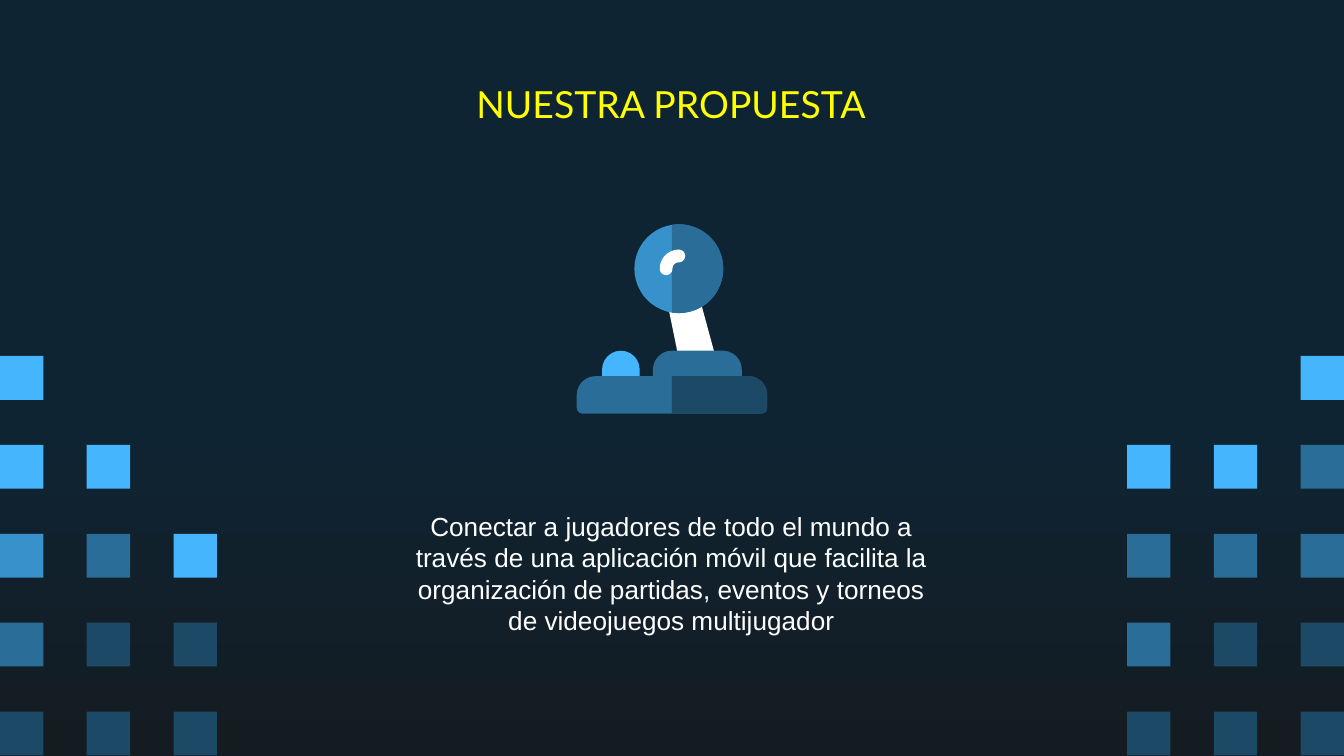
import math
from typing import NamedTuple

import pptx
import pptx.dml.color
import pptx.enum.shapes
import pptx.enum.text
import pptx.shapes.autoshape
import pptx.shapes.shapetree
import pptx.slide
import pptx.util

Cm = pptx.util.Cm
RGBColor = pptx.dml.color.RGBColor
Preset = pptx.enum.shapes.MSO_SHAPE
Anchor = pptx.enum.text.MSO_ANCHOR
Tree = pptx.shapes.shapetree.GroupShapes
Points = list[tuple[float, float]]

NIGHT = RGBColor(0x0E, 0x24, 0x33)
COAL = RGBColor(0x14, 0x1C, 0x21)
SKY = RGBColor(0x45, 0xB6, 0xFE)
AZURE = RGBColor(0x37, 0x92, 0xCB)
STEEL = RGBColor(0x29, 0x6D, 0x98)
NAVY = RGBColor(0x1C, 0x49, 0x66)
WHITE = RGBColor(0xFF, 0xFF, 0xFF)
YELLOW = RGBColor(0xFF, 0xFF, 0x00)

TILE_COLORS = {"s": SKY, "a": AZURE, "t": STEEL, "n": NAVY}
TILE_WIDTH, TILE_HEIGHT = 0.82, 0.83
COLUMN_STEP, ROW_STEP = 1.64, 1.68
TILES_TOP = 6.73
MIDDLE = 12.7


class TileBlock(NamedTuple):
    left: float
    rows: tuple[str, ...]


class Part(NamedTuple):
    preset: Preset
    left: float
    top: float
    width: float
    height: float
    color: RGBColor
    corners: tuple[float, ...] = ()


TILE_BLOCKS = (
    TileBlock(0, ("s  ", "ss ", "ats", "tnn", "nnn")),
    TileBlock(21.3, ("  s", "sst", "ttt", "tnn", "nnn")),
)
BALL = Part(Preset.OVAL, 11.99, 4.24, 1.68, 1.68, AZURE)
CAP = Part(Preset.ROUND_2_SAME_RECTANGLE, 12.34, 6.63, 1.68, 0.71, STEEL, (0.5, 0.16))
BUTTON = Part(Preset.ROUND_2_SAME_RECTANGLE, 11.38, 6.63, 0.71, 0.71, SKY, (0.5, 0.16))
BASE = Part(Preset.ROUND_2_SAME_RECTANGLE, 10.9, 7.11, 3.6, 0.71, STEEL, (0.5, 0.16))


def paint(shape: pptx.shapes.autoshape.Shape, color: RGBColor) -> None:
    shape.shadow.inherit = False
    shape.fill.solid()
    shape.fill.fore_color.rgb = color
    shape.line.fill.background()


def add_part(shapes: Tree, part: Part) -> None:
    shape = shapes.add_shape(
        part.preset, Cm(part.left), Cm(part.top), Cm(part.width), Cm(part.height)
    )
    for index, corner in enumerate(part.corners):
        shape.adjustments[index] = corner
    paint(shape, part.color)


def add_outline(shapes: Tree, points: Points, color: RGBColor) -> None:
    corners = [(Cm(x), Cm(y)) for x, y in points]
    builder = shapes.build_freeform(*corners[0], scale=1.0)
    builder.add_line_segments(corners[1:], close=True)
    paint(builder.convert_to_shape(), color)


def arc(x: float, y: float, radius: float, start: float, end: float) -> Points:
    steps = 24
    angles = [math.radians(start + (end - start) * i / steps) for i in range(steps + 1)]
    return [(x + radius * math.cos(a), y + radius * math.sin(a)) for a in angles]


def add_tiles(shapes: Tree, block: TileBlock) -> None:
    for row, codes in enumerate(block.rows):
        for column, code in enumerate(codes):
            if code in TILE_COLORS:
                add_part(shapes, Part(
                    Preset.RECTANGLE,
                    block.left + column * COLUMN_STEP,
                    TILES_TOP + row * ROW_STEP,
                    TILE_WIDTH, TILE_HEIGHT, TILE_COLORS[code],
                ))


def add_joystick(shapes: Tree) -> None:
    stick = [(12.6, 5.66), (13.21, 5.59), (13.56, 6.88), (12.85, 6.88)]
    add_outline(shapes, stick, WHITE)

    add_part(shapes, BALL)
    radius = BALL.width / 2
    ball_x, ball_y = BALL.left + radius, BALL.top + radius
    cut = math.degrees(math.acos((MIDDLE - ball_x) / radius))
    add_outline(shapes, arc(ball_x, ball_y, radius, -cut, cut), STEEL)

    outer, inner = 0.36, 0.12
    center, tip = (outer + inner) / 2, (outer - inner) / 2
    shine = (
        arc(ball_x, ball_y, outer, 180, 270)
        + arc(ball_x, ball_y - center, tip, -90, 90)
        + arc(ball_x, ball_y, inner, 270, 180)
        + arc(ball_x - center, ball_y, tip, 0, 180)
    )
    add_outline(shapes, shine, WHITE)

    for part in (CAP, BUTTON, BASE):
        add_part(shapes, part)
    right, bottom = BASE.left + BASE.width, BASE.top + BASE.height
    top_radius, bottom_radius = (corner * BASE.height for corner in BASE.corners)
    base_half = (
        [(MIDDLE, BASE.top)]
        + arc(right - top_radius, BASE.top + top_radius, top_radius, -90, 0)
        + arc(right - bottom_radius, bottom - bottom_radius, bottom_radius, 0, 90)
        + [(MIDDLE, bottom)]
    )
    add_outline(shapes, base_half, NAVY)


def add_text(
    page: pptx.slide.Slide, text: str, *, left: float, top: float, width: float,
    height: float, font: str, size: float, color: RGBColor, anchor: Anchor,
) -> None:
    box = page.shapes.add_textbox(Cm(left), Cm(top), Cm(width), Cm(height))
    frame = box.text_frame
    frame.word_wrap = True
    frame.vertical_anchor = anchor
    frame.margin_left = frame.margin_right = Cm(0.25)
    frame.margin_top = frame.margin_bottom = Cm(0.25)
    para = frame.paragraphs[0]
    para.alignment = pptx.enum.text.PP_ALIGN.CENTER
    span = para.add_run()
    span.text = text
    span.font.name = font
    span.font.size = pptx.util.Pt(size)
    span.font.color.rgb = color


def set_background(page: pptx.slide.Slide) -> None:
    fill = page.background.fill
    fill.gradient()
    fill.gradient_angle = 270
    for stop, position, color in zip(fill.gradient_stops, (0.56, 1), (NIGHT, COAL)):
        stop.position = position
        stop.color.rgb = color


def main() -> None:
    deck = pptx.Presentation()
    deck.slide_width, deck.slide_height = Cm(25.4), Cm(14.29)
    page = deck.slides.add_slide(deck.slide_layouts[6])
    set_background(page)
    for block in TILE_BLOCKS:
        add_tiles(page.shapes, block)
    add_text(
        page, "NUESTRA PROPUESTA", left=1.98, top=1.5, width=21.41, height=0.91,
        font="Lato", size=20, color=YELLOW, anchor=Anchor.MIDDLE,
    )
    add_text(
        page,
        "Conectar a jugadores de todo el mundo a través de una aplicación móvil "
        "que facilita la organización de partidas, eventos y torneos de "
        "videojuegos multijugador",
        left=7.32, top=9.4, width=10.74, height=2.51,
        font="Arial", size=14, color=WHITE, anchor=Anchor.TOP,
    )
    add_joystick(page.shapes.add_group_shape().shapes)
    deck.save("out.pptx")


if __name__ == "__main__":
    main()
